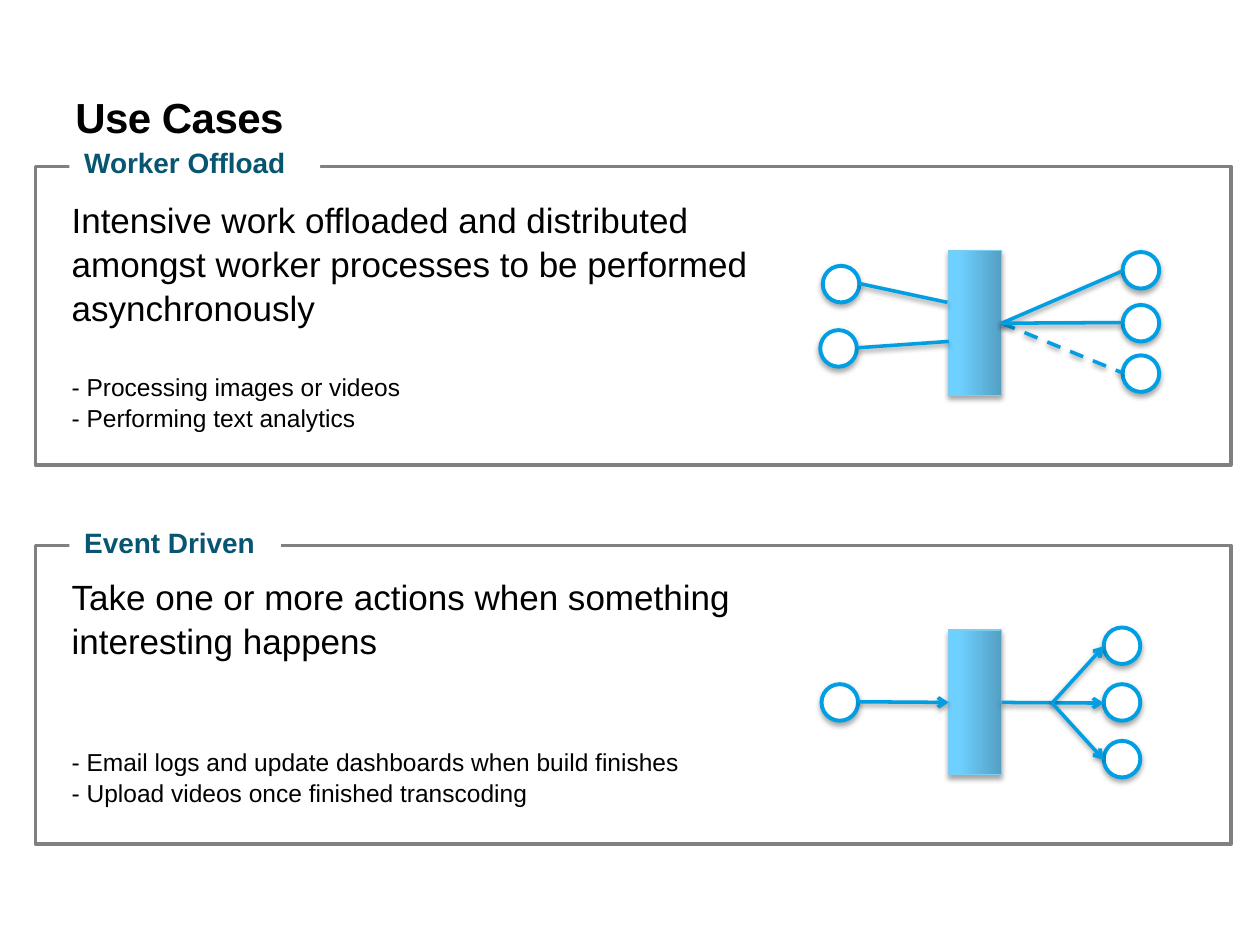
from dataclasses import dataclass

from lxml.etree import SubElement
from pptx import Presentation
from pptx.dml.color import RGBColor
from pptx.enum.dml import MSO_LINE
from pptx.enum.shapes import MSO_CONNECTOR, MSO_SHAPE
from pptx.enum.text import MSO_ANCHOR, PP_ALIGN
from pptx.oxml.ns import qn
from pptx.shapes.autoshape import Shape
from pptx.slide import Slide
from pptx.util import Inches, Pt

COLORS = {
    "white": "FFFFFF",
    "black": "000000",
    "frame": "808080",
    "label": "085571",
    "stroke": "009EE2",
    "queue_edge": "7DCDF2",
    "queue_light": "6ED0FE",
    "queue_dark": "539FC3",
}
FONT = "Arial"
NODE_SIZE = 0.29
QUEUE_LEFT, QUEUE_WIDTH, QUEUE_HEIGHT = 7.53, 0.42, 1.15
QUEUE_RIGHT = QUEUE_LEFT + QUEUE_WIDTH
LEFT_SIDE, RIGHT_SIDE = 1, 3


@dataclass(frozen=True)
class Link:
    start: tuple[float, float]
    end: tuple[float, float]
    arrow: bool = False
    dashed: bool = False
    from_queue: bool = False
    to_queue: bool = False


@dataclass(frozen=True)
class UseCase:
    label: str
    label_top: float
    label_width: float
    frame_top: float
    text_top: float
    text_height: float
    summary: str
    examples: tuple[str, ...]
    examples_gap: float
    queue_top: float
    nodes: tuple[tuple[float, float], ...]
    links: tuple[Link, ...]


USE_CASES = (
    UseCase(
        "Worker Offload", 1.08, 1.99, 1.32, 1.51, 1.92,
        "Intensive work offloaded and distributed amongst worker processes "
        "to be performed asynchronously",
        ("- Processing images or videos", "- Performing text analytics"),
        24, 1.99,
        ((6.53, 2.11), (6.51, 2.62), (8.91, 2), (8.91, 2.42), (8.91, 2.82)),
        (
            Link((6.82, 2.25), (7.52, 2.4)),
            Link((6.81, 2.76), (7.53, 2.71)),
            Link((QUEUE_RIGHT, 2.57), (8.91, 2.15), from_queue=True),
            Link((QUEUE_RIGHT, 2.57), (8.91, 2.96), dashed=True, from_queue=True),
            Link((QUEUE_RIGHT, 2.57), (8.91, 2.56), from_queue=True),
        ),
    ),
    UseCase(
        "Event Driven", 4.1, 1.68, 4.33, 4.5, 2.26,
        "Take one or more actions when something interesting happens",
        (
            "- Email logs and update dashboards when build finishes",
            "- Upload videos once finished transcoding",
        ),
        48, 5,
        ((6.52, 5.43), (8.76, 4.98), (8.76, 5.43), (8.76, 5.88)),
        (
            Link((6.81, 5.57), (QUEUE_LEFT, 5.57), arrow=True, to_queue=True),
            Link((QUEUE_RIGHT, 5.57), (8.76, 5.58), arrow=True, from_queue=True),
            Link((8.35, 5.58), (8.76, 5.13), arrow=True),
            Link((8.35, 5.58), (8.76, 6.03), arrow=True),
        ),
    ),
)


def color(name: str) -> RGBColor:
    return RGBColor.from_string(COLORS[name])


def add_shadow(properties, opacity: int, distance: float) -> None:
    effects = properties.find(qn("a:effectLst"))
    if effects is None:
        effects = SubElement(properties, qn("a:effectLst"))
    shadow = SubElement(
        effects, qn("a:outerShdw"), blurRad=str(Pt(3.1)),
        dist=str(Pt(distance)), dir="5400000", rotWithShape="0",
    )
    shade = SubElement(shadow, qn("a:srgbClr"), val=COLORS["black"])
    SubElement(shade, qn("a:alpha"), val=str(opacity * 1000))


def add_box(slide: Slide, kind: MSO_SHAPE, left: float, top: float, width: float,
            height: float, edge: str | None = None, edge_width: float = 0) -> Shape:
    shape = slide.shapes.add_shape(
        kind, Inches(left), Inches(top), Inches(width), Inches(height))
    shape.shadow.inherit = False
    shape.fill.solid()
    shape.fill.fore_color.rgb = color("white")
    if edge:
        shape.line.color.rgb = color(edge)
        shape.line.width = Pt(edge_width)
    else:
        shape.line.fill.background()
    return shape


def style(paragraph, text: str, size: float, text_color: str = "black",
          bold: bool = False) -> None:
    paragraph.text = text
    paragraph.alignment = PP_ALIGN.LEFT
    paragraph.font.name = FONT
    paragraph.font.size = Pt(size)
    paragraph.font.bold = bold
    paragraph.font.color.rgb = color(text_color)


def add_title(slide: Slide) -> None:
    title = slide.shapes.add_textbox(Inches(0.5), Inches(0.3), Inches(9), Inches(1.25))
    title.text_frame.word_wrap = True
    title.text_frame.vertical_anchor = MSO_ANCHOR.MIDDLE
    paragraph = title.text_frame.paragraphs[0]
    style(paragraph, "Use Cases", 24, bold=True)
    paragraph.runs[0]._r.get_or_add_rPr().set("spc", "-30")


def add_description(slide: Slide, case: UseCase) -> None:
    box = slide.shapes.add_textbox(
        Inches(0.47), Inches(case.text_top), Inches(5.9), Inches(case.text_height))
    frame = box.text_frame
    frame.word_wrap = True
    style(frame.paragraphs[0], case.summary, 20)
    for example in case.examples:
        style(frame.add_paragraph(), example, 14)
    frame.paragraphs[1].space_before = Pt(case.examples_gap)
    for paragraph in frame.paragraphs:
        paragraph.line_spacing = 1.05


def add_queue(slide: Slide, top: float) -> Shape:
    queue = add_box(slide, MSO_SHAPE.RECTANGLE, QUEUE_LEFT, top,
                    QUEUE_WIDTH, QUEUE_HEIGHT, "queue_edge", 0.75)
    queue.fill.gradient()
    queue.fill.gradient_angle = 0
    stops = zip(queue.fill.gradient_stops, (("queue_light", 0.2), ("queue_dark", 1)))
    for stop, (name, position) in stops:
        stop.color.rgb = color(name)
        stop.position = position
    add_shadow(queue._element.spPr, 35, 1.8)
    return queue


def add_link(slide: Slide, link: Link, queue: Shape) -> None:
    points = [Inches(value) for value in link.start + link.end]
    connector = slide.shapes.add_connector(MSO_CONNECTOR.STRAIGHT, *points)
    if link.from_queue:
        connector.begin_connect(queue, RIGHT_SIDE)
    if link.to_queue:
        connector.end_connect(queue, LEFT_SIDE)
    connector.line.color.rgb = color("stroke")
    connector.line.width = Pt(2)
    if link.dashed:
        connector.line.dash_style = MSO_LINE.DASH
    properties = connector._element.spPr
    if link.arrow:
        SubElement(properties.find(qn("a:ln")), qn("a:tailEnd"), type="arrow")
    add_shadow(properties, 38, 1.6)


def add_use_case(slide: Slide, case: UseCase) -> None:
    add_box(slide, MSO_SHAPE.RECTANGLE, 0.28, case.frame_top, 9.49, 2.37, "frame", 2)
    label = add_box(slide, MSO_SHAPE.ROUNDED_RECTANGLE, 0.55, case.label_top,
                    case.label_width, 0.41)
    style(label.text_frame.paragraphs[0], case.label, 16, "label", True)
    add_description(slide, case)
    for left, top in case.nodes:
        node = add_box(slide, MSO_SHAPE.OVAL, left, top, NODE_SIZE, NODE_SIZE,
                       "stroke", 2.25)
        add_shadow(node._element.spPr, 35, 1.8)
    queue = add_queue(slide, case.queue_top)
    for link in case.links:
        add_link(slide, link, queue)


def main() -> None:
    presentation = Presentation()
    presentation.slide_width = Inches(10)
    presentation.slide_height = Inches(7.5)
    slide = presentation.slides.add_slide(presentation.slide_layouts[6])
    for case in USE_CASES:
        add_use_case(slide, case)
    add_title(slide)
    presentation.save("out.pptx")


if __name__ == "__main__":
    main()
